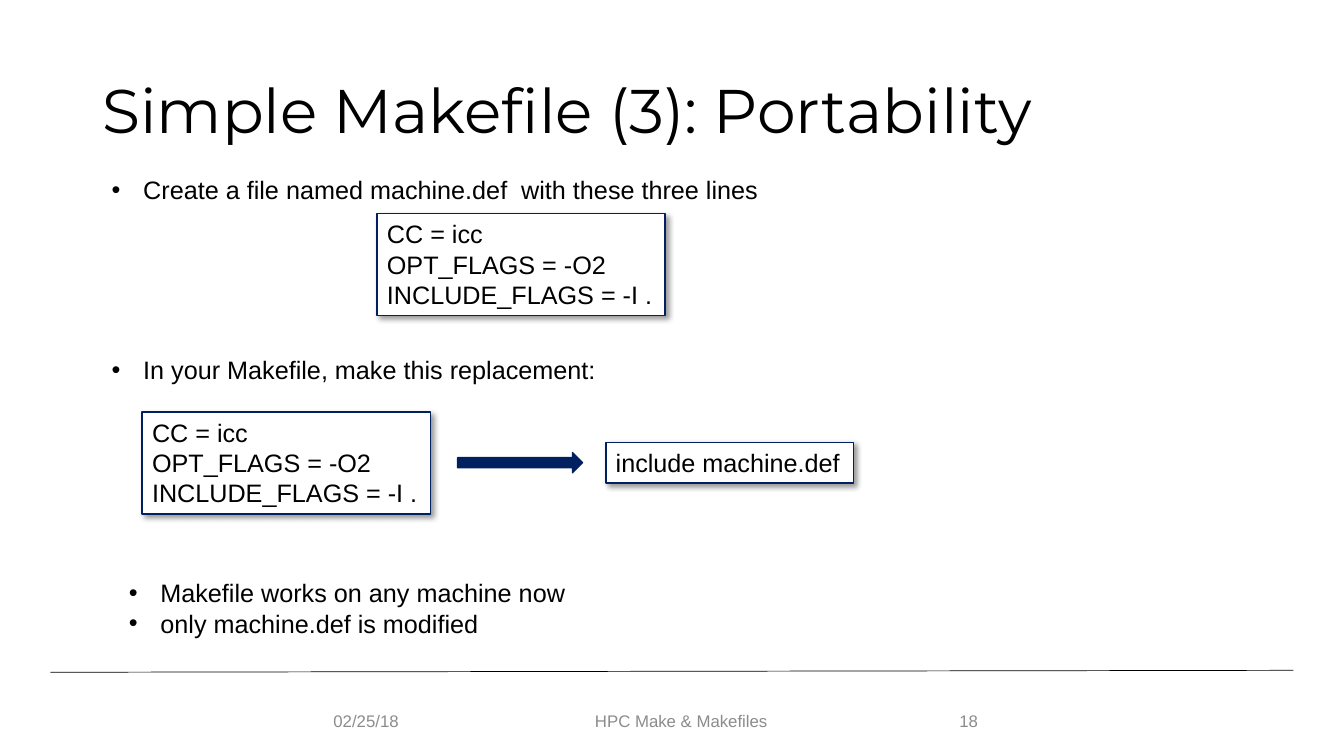
"""Build the slide on Makefile portability."""
from dataclasses import dataclass
from lxml import etree
from pptx import Presentation
from pptx.dml.color import RGBColor
from pptx.enum import shapes, text
from pptx.oxml import ns
from pptx.util import Pt


@dataclass(frozen=True)
class Theme:
    ink: RGBColor = RGBColor(0, 0, 0)
    navy: RGBColor = RGBColor(0x00, 0x20, 0x60)
    white: RGBColor = RGBColor(0xFF, 0xFF, 0xFF)
    gray: RGBColor = RGBColor(0x8C, 0x8C, 0x8C)
    head: str = "Montserrat"
    body: str = "Arial"
    title: int = 44
    main: int = 18
    foot: int = 12


def write(shape, lines, size, color=Theme.ink, face=Theme.body, wrap=True,
          anchor=text.MSO_ANCHOR.TOP, align=text.PP_ALIGN.LEFT, space=1.0, bullet=False):
    frame = shape.text_frame
    frame.word_wrap = wrap
    frame.vertical_anchor = anchor
    frame.text = "\n".join(lines)
    for para in frame.paragraphs:
        if bullet:
            props = para._p.get_or_add_pPr()
            props.set("marL", str(Pt(22.5)))
            props.set("indent", str(Pt(-22.5)))
            etree.SubElement(props, ns.qn("a:buFont"), typeface=Theme.body)
            etree.SubElement(props, ns.qn("a:buChar"), char="•")
        para.alignment = align
        para.line_spacing = space
        for run in para.runs:
            run.font.name = face
            run.font.size = Pt(size)
            run.font.color.rgb = color


theme = Theme()
deck = Presentation()
deck.slide_width, deck.slide_height = Pt(960), Pt(540)
slide = deck.slides.add_slide(deck.slide_layouts[6])
items = slide.shapes

rule = items.add_connector(shapes.MSO_CONNECTOR.STRAIGHT,
                           Pt(36), Pt(480.2), Pt(923.8), Pt(478.8))
rule.line.color.rgb = theme.ink
rule.line.width = Pt(0.5)
etree.SubElement(rule._element.spPr, ns.qn("a:effectLst"))

title = items.add_textbox(Pt(66), Pt(28.8), Pt(828), Pt(104.4))
write(title, ["Simple Makefile (3): Portability"], theme.title, face=theme.head,
      anchor=text.MSO_ANCHOR.MIDDLE, space=0.9)

points = [
    (72.7, 121, 480, 28.8, ["Create a file named machine.def  with these three lines"]),
    (72.7, 249.8, 364, 28.8, ["In your Makefile, make this replacement:"]),
    (85, 409, 329, 51, ["Makefile works on any machine now", "only machine.def is modified"]),
]
for left, top, width, height, lines in points:
    box = items.add_textbox(Pt(left), Pt(top), Pt(width), Pt(height))
    write(box, lines, theme.main, bullet=True)

flags = ["CC = icc", "OPT_FLAGS = -O2", "INCLUDE_FLAGS = -I ."]
codes = [
    (269.3, 152.6, 206, 72.7, flags),
    (101.5, 294.5, 206, 72.7, flags),
    (432.7, 316.1, 177, 28.8, ["include machine.def"]),
]
for left, top, width, height, lines in codes:
    card = items.add_shape(shapes.MSO_SHAPE.RECTANGLE,
                           Pt(left), Pt(top), Pt(width), Pt(height))
    card.fill.solid()
    card.fill.fore_color.rgb = theme.white
    card.line.color.rgb = theme.navy
    card.line.width = Pt(1.25)
    card.shadow.inherit = False
    glow = etree.SubElement(card._element.spPr.find(ns.qn("a:effectLst")),
                            ns.qn("a:outerShdw"), blurRad=str(Pt(4)), dist=str(Pt(3)),
                            dir="2700000", algn="tl", rotWithShape="0")
    tone = etree.SubElement(glow, ns.qn("a:srgbClr"), val=str(theme.ink))
    etree.SubElement(tone, ns.qn("a:alpha"), val="40000")
    write(card, lines, theme.main, wrap=False)

arrow = items.add_shape(shapes.MSO_SHAPE.RIGHT_ARROW,
                        Pt(326.9), Pt(323.3), Pt(89.3), Pt(14.4))
arrow.fill.solid()
arrow.fill.fore_color.rgb = theme.navy
arrow.line.color.rgb = theme.navy
arrow.line.width = Pt(1)
arrow.shadow.inherit = False

notes = [
    (231.1, 64, "02/25/18", text.PP_ALIGN.LEFT),
    (324.7, 324, "HPC Make & Makefiles", text.PP_ALIGN.CENTER),
    (678.2, 54, "18", text.PP_ALIGN.LEFT),
]
for left, width, label, align in notes:
    box = items.add_textbox(Pt(left), Pt(500.4), Pt(width), Pt(28.8))
    write(box, [label], theme.foot, theme.gray, anchor=text.MSO_ANCHOR.MIDDLE, align=align)

deck.save("out.pptx")
